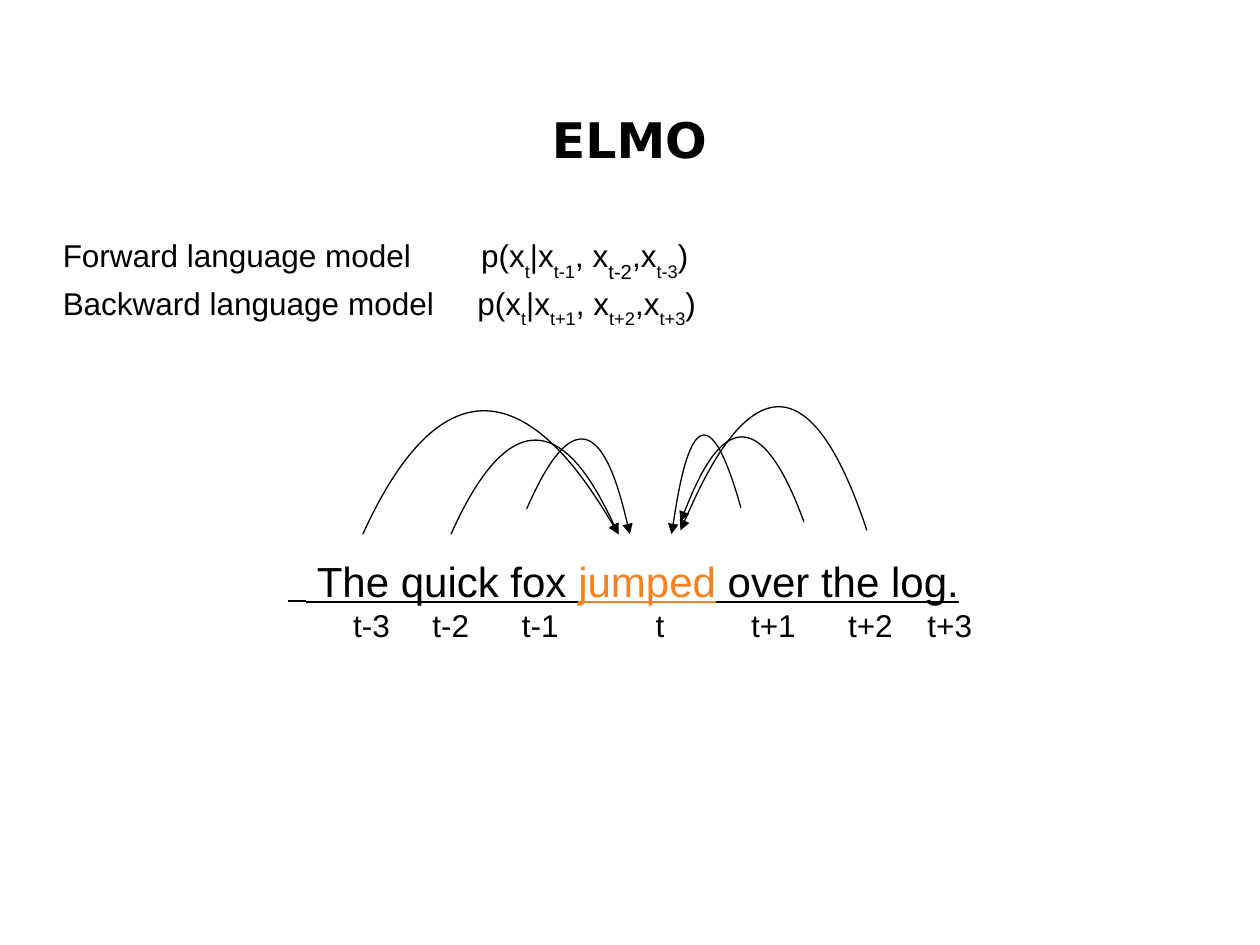
from lxml.etree import SubElement
from pptx import Presentation
from pptx.dml.color import RGBColor
from pptx.enum.text import MSO_ANCHOR, PP_ALIGN
from pptx.oxml.ns import qn
from pptx.util import Inches, Pt

INK = {"text": "000000", "focus": "F58220", "back": "FFFFFF"}
TITLE = "ELMO"
# Tab stop, then text in which odd entries are subscripts
MODELS = [
    (3.32, ["Forward language model\tp(x", "t", "|x", "t-1", ", x", "t-2",
            ",x", "t-3", ")"]),
    (3.29, ["Backward language model\tp(x", "t", "|x", "t+1", ", x", "t+2",
            ",x", "t+3", ")"]),
]
LARGE = "t-2"
SENTENCE = [("  ", 18, "text"), (" The quick fox ", 24, "text"),
            ("jumped", 24, "focus"), (" over the log.", 24, "text")]
STEPS = [("t-3", 2.45), ("t-2", 3.08), ("t-1", 3.79), ("t", 4.74),
         ("t+1", 5.64), ("t+2", 6.41), ("t+3", 7.04)]
# Start, first control point, end (the second control point is the end)
ARCS = [
    ((2.88, 4.24), (3.79, 2.24), (4.91, 4.24)),
    ((3.58, 4.24), (4.25, 2.74), (4.91, 4.24)),
    ((4.18, 4.04), (4.7, 2.84), (5, 4.24)),
    ((6.88, 4.21), (6.22, 2.21), (5.4, 4.21)),
    ((6.38, 4.14), (5.89, 2.8), (5.4, 4.14)),
    ((5.88, 4.03), (5.53, 2.78), (5.33, 4.24)),
]


def color(name):
    return RGBColor.from_string(INK[name])


def style(run, size, name="text", face="Arial"):
    run.font.size, run.font.name = Pt(size), face
    run.font.color.rgb = color(name)


def add_run(para, text, size, name="text"):
    run = para.add_run()
    run.text = text
    style(run, size, name)
    return run


def set_tabs(para, stops, align):
    tabs = SubElement(para._p.get_or_add_pPr(), qn("a:tabLst"))
    for stop in stops:
        SubElement(tabs, qn("a:tab"), pos=str(Inches(stop)), algn=align)


def add_title(slide):
    title = slide.shapes.title
    title.left, title.top = Inches(1.36), Inches(0.51)
    title.width, title.height = Inches(7.27), Inches(1.18)
    frame = title.text_frame
    frame.margin_left = frame.margin_right = 0
    frame.margin_top = frame.margin_bottom = 0
    frame.vertical_anchor = MSO_ANCHOR.MIDDLE
    frame.text = TITLE
    para = frame.paragraphs[0]
    para.alignment = PP_ALIGN.CENTER
    style(para.runs[0], 28, face="DejaVu Sans")
    para.runs[0].font.bold = True


def add_body(slide):
    box = slide.shapes.add_textbox(Inches(0.4), Inches(1.8), Inches(9.1), Inches(3.7))
    box.fill.solid()
    box.fill.fore_color.rgb = color("back")
    frame = box.text_frame
    frame.word_wrap = True

    for i, (stop, parts) in enumerate(MODELS):
        para = frame.add_paragraph() if i else frame.paragraphs[0]
        set_tabs(para, [stop], "l")
        for j, part in enumerate(parts):
            run = add_run(para, part, 20 if part == LARGE else 18)
            if j % 2:
                run.font._element.set("baseline", "-33000")

    para = frame.add_paragraph()
    para.alignment = PP_ALIGN.CENTER
    para.space_before = Pt(129.5)
    for text, size, name in SENTENCE:
        add_run(para, text, size, name).font.underline = True

    para = frame.add_paragraph()
    set_tabs(para, [stop for _, stop in STEPS], "ctr")
    add_run(para, "".join("\t" + step for step, _ in STEPS), 18)


def crest(start, bend, end):
    """Return the highest point of the curve, to the nearest 1/100 of its run."""
    dots = []
    for i in range(101):
        t = i / 100
        a, b = (1 - t) ** 3, 3 * t * (1 - t) ** 2
        dots.append([a * s + b * m + (1 - a - b) * e
                     for s, m, e in zip(start, bend, end)])
    return min(dots, key=lambda dot: dot[1])


def add_arc(slide, start, bend, end):
    """Draw one cubic curve with an arrowhead at its end."""
    start, bend, end = ([Inches(n) for n in dot] for dot in (start, bend, end))
    outline = slide.shapes.build_freeform(*start, scale=1.0)
    outline.add_line_segments([crest(start, bend, end), end], close=False)
    arc = outline.convert_to_shape()

    # The straight lines set the bounds; one cubic curve takes their place
    track = next(arc._element.iter(qn("a:path")))
    for line in track.findall(qn("a:lnTo")):
        track.remove(line)
    curve = SubElement(track, qn("a:cubicBezTo"))
    for x, y in (bend, end, end):
        SubElement(curve, qn("a:pt"), x=str(x - arc.left), y=str(y - arc.top))

    arc.shadow.inherit = False
    arc.fill.background()
    arc.line.color.rgb = color("text")
    arc.line.width = Pt(0)
    SubElement(arc.line._get_or_add_ln(), qn("a:tailEnd"), type="triangle")


def main():
    deck = Presentation()
    deck.slide_width, deck.slide_height = Inches(10), Inches(7.5)
    slide = deck.slides.add_slide(deck.slide_layouts[5])
    add_title(slide)
    add_body(slide)
    for arc in ARCS:
        add_arc(slide, *arc)
    deck.save("out.pptx")


if __name__ == "__main__":
    main()
